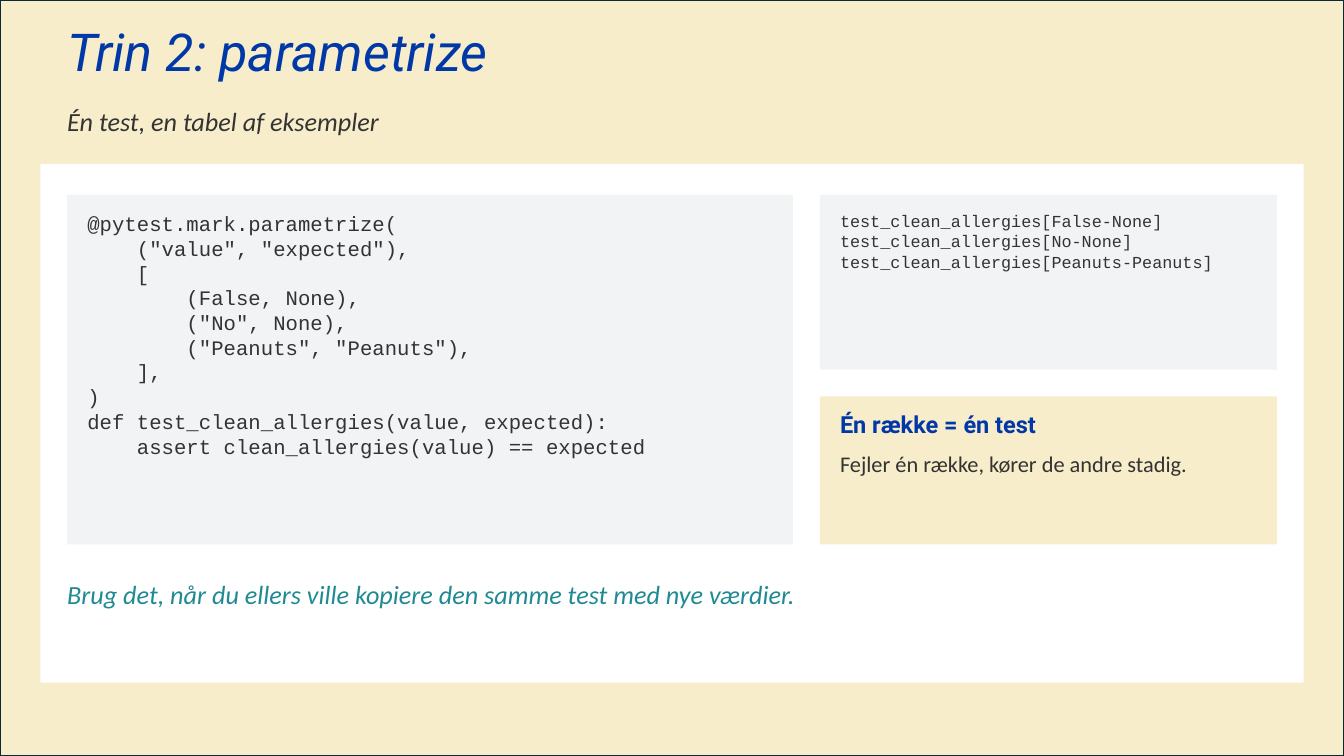
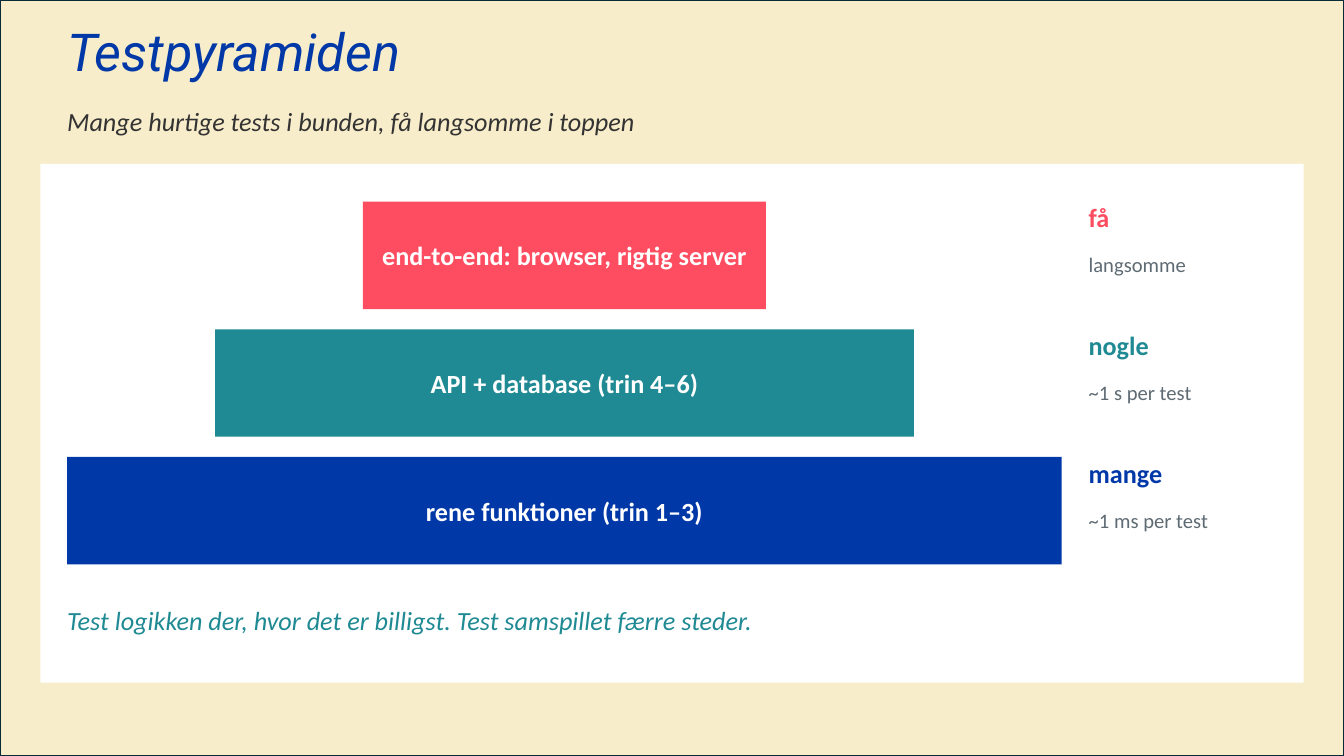
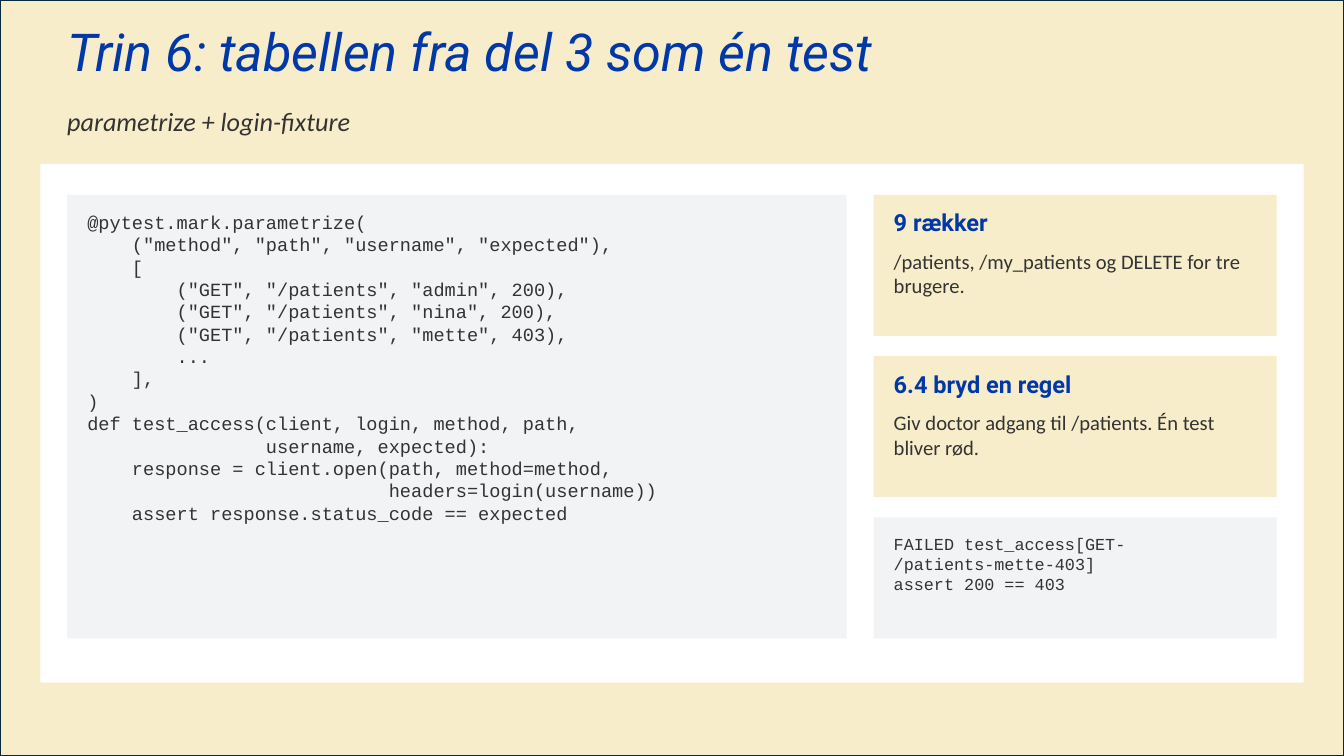
from dataclasses import dataclass
from typing import Optional

import pptx
import pptx.dml.color
import pptx.enum.shapes
import pptx.enum.text
import pptx.util

SCALE = 6096
ALIGN = pptx.enum.text.PP_ALIGN
ANCHOR = pptx.enum.text.MSO_ANCHOR


@dataclass(frozen=True)
class Theme:
    sand: str = "F8EDCA"
    edge: str = "092A39"
    white: str = "FFFFFF"
    pale: str = "F2F3F4"
    ink: str = "333333"
    grey: str = "5F6B73"
    blue: str = "0038A8"
    teal: str = "1F8A93"
    red: str = "FE4C61"
    head: str = "Roboto"
    body: str = "Calibri"
    mono: str = "Courier New"
    title: float = 37.3
    lead: float = 18.7
    card: float = 16.8
    plain: float = 16
    small: float = 14.7
    dense: float = 13.3
    tiny: float = 12


THEME = Theme()


@dataclass(frozen=True)
class Box:
    left: int
    top: int
    width: int
    height: int


@dataclass(frozen=True)
class Code:
    box: Box
    text: str
    size: float


@dataclass(frozen=True)
class Card:
    box: Box
    head: str
    body: str
    size: float


@dataclass(frozen=True)
class Tier:
    text: str
    count: str
    speed: str
    color: str


def px(count: int) -> int:
    return pptx.util.Emu(count * SCALE)


def rgb(code: str):
    return pptx.dml.color.RGBColor.from_string(code)


def place(box: Box):
    return px(box.left), px(box.top), px(box.width), px(box.height)


def setup(frame, side: int = 0, top: int = 0, anchor=ANCHOR.TOP):
    frame.word_wrap = True
    frame.margin_left = frame.margin_right = px(side)
    frame.margin_top, frame.margin_bottom = px(top), 0
    frame.vertical_anchor = anchor
    return frame


def block(slide, box: Box, fill: str, line: Optional[str] = None):
    kind = pptx.enum.shapes.MSO_SHAPE.RECTANGLE
    shape = slide.shapes.add_shape(kind, *place(box))
    shape.shadow.inherit = False
    shape.fill.solid()
    shape.fill.fore_color.rgb = rgb(fill)
    if line:
        shape.line.color.rgb = rgb(line)
        shape.line.width = pptx.util.Pt(1.5)
    else:
        shape.line.fill.background()
    return shape


def field(slide, box: Box):
    return setup(slide.shapes.add_textbox(*place(box)).text_frame)


def write(frame, text: str, *, size: float, color: str = THEME.ink,
          font: str = THEME.body, bold: bool = False, italic: bool = False,
          align=ALIGN.LEFT, gap: float = 0, pitch: float = 1.0) -> None:
    last = frame.paragraphs[-1]
    para = frame.add_paragraph() if last.text else last
    para.alignment = align
    para.line_spacing = pitch
    if gap:
        para.space_before = pptx.util.Pt(gap)
    run = para.add_run()
    run.text = text
    run.font.name = font
    run.font.size = pptx.util.Pt(size)
    run.font.bold = bold
    run.font.italic = italic
    run.font.color.rgb = rgb(color)


def start(deck, title: str, lead: str):
    slide = deck.slides.add_slide(deck.slide_layouts[6])
    block(slide, Box(0, 0, 2000, 1125), THEME.sand, THEME.edge)
    write(field(slide, Box(100, 40, 1800, 110)), title, size=THEME.title,
          color=THEME.blue, font=THEME.head, italic=True, pitch=0.9)
    block(slide, Box(60, 244, 1880, 772), THEME.white)
    write(field(slide, Box(100, 156, 1800, 70)), lead, size=THEME.lead,
          italic=True)
    return slide


def show(slide, code: Code) -> None:
    frame = setup(block(slide, code.box, THEME.pale).text_frame, 30, 24)
    for row in code.text.split("\n"):
        write(frame, row, size=code.size, font=THEME.mono)


def pin(slide, card: Card) -> None:
    frame = setup(block(slide, card.box, THEME.sand).text_frame, 30, 20)
    write(frame, card.head, size=THEME.card, color=THEME.blue,
          font=THEME.head, bold=True)
    write(frame, card.body, size=card.size, gap=8.6)


def close(slide, text: str, top: int) -> None:
    write(field(slide, Box(100, top, 1800, 100)), text, size=THEME.lead,
          color=THEME.teal, italic=True)


def stack(slide, tiers: list[Tier]) -> None:
    for rank, tier in enumerate(tiers):
        top, width = 300 + 190 * rank, 600 + 440 * rank
        bar = block(slide, Box(840 - width // 2, top, width, 160), tier.color)
        write(setup(bar.text_frame, anchor=ANCHOR.MIDDLE), tier.text,
              size=THEME.lead, color=THEME.white, bold=True,
              align=ALIGN.CENTER)
        side = field(slide, Box(1620, top, 280, 160))
        write(side, tier.count, size=THEME.lead, color=tier.color, bold=True)
        write(side, tier.speed, size=THEME.small, color=THEME.grey, gap=13.7)


TABLE = """@pytest.mark.parametrize(
    ("value", "expected"),
    [
        (False, None),
        ("No", None),
        ("Peanuts", "Peanuts"),
    ],
)
def test_clean_allergies(value, expected):
    assert clean_allergies(value) == expected"""

NAMES = """test_clean_allergies[False-None]
test_clean_allergies[No-None]
test_clean_allergies[Peanuts-Peanuts]"""

ACCESS = """@pytest.mark.parametrize(
    ("method", "path", "username", "expected"),
    [
        ("GET", "/patients", "admin", 200),
        ("GET", "/patients", "nina", 200),
        ("GET", "/patients", "mette", 403),
        ...
    ],
)
def test_access(client, login, method, path,
                username, expected):
    response = client.open(path, method=method,
                           headers=login(username))
    assert response.status_code == expected"""

FAILED = """FAILED test_access[GET-
/patients-mette-403]
assert 200 == 403"""

TIERS = [
    Tier("end-to-end: browser, rigtig server", "få", "langsomme", THEME.red),
    Tier("API + database (trin 4–6)", "nogle", "~1 s per test", THEME.teal),
    Tier("rene funktioner (trin 1–3)", "mange", "~1 ms per test", THEME.blue),
]

CARDS = [
    ("9 rækker", "/patients, /my_patients og DELETE for tre brugere."),
    ("6.4 bryd en regel",
     "Giv doctor adgang til /patients. Én test bliver rød."),
]


def main() -> None:
    deck = pptx.Presentation()
    deck.slide_width, deck.slide_height = px(2000), px(1125)

    slide = start(deck, "Trin 2: parametrize", "Én test, en tabel af eksempler")
    show(slide, Code(Box(100, 290, 1080, 520), TABLE, THEME.small))
    show(slide, Code(Box(1220, 290, 680, 260), NAMES, THEME.tiny))
    pin(slide, Card(Box(1220, 590, 680, 220), "Én række = én test",
                    "Fejler én række, kører de andre stadig.", THEME.plain))
    close(slide, "Brug det, når du ellers ville kopiere den samme test "
          "med nye værdier.", 860)

    slide = start(deck, "Testpyramiden",
                  "Mange hurtige tests i bunden, få langsomme i toppen")
    stack(slide, TIERS)
    close(slide, "Test logikken der, hvor det er billigst. "
          "Test samspillet færre steder.", 900)

    slide = start(deck, "Trin 6: tabellen fra del 3 som én test",
                  "parametrize + login-fixture")
    show(slide, Code(Box(100, 290, 1160, 660), ACCESS, THEME.dense))
    for rank, (head, body) in enumerate(CARDS):
        box = Box(1300, 290 + 240 * rank, 600, 210)
        pin(slide, Card(box, head, body, THEME.small))
    show(slide, Code(Box(1300, 770, 600, 180), FAILED, THEME.tiny))

    deck.save("out.pptx")


if __name__ == "__main__":
    main()
